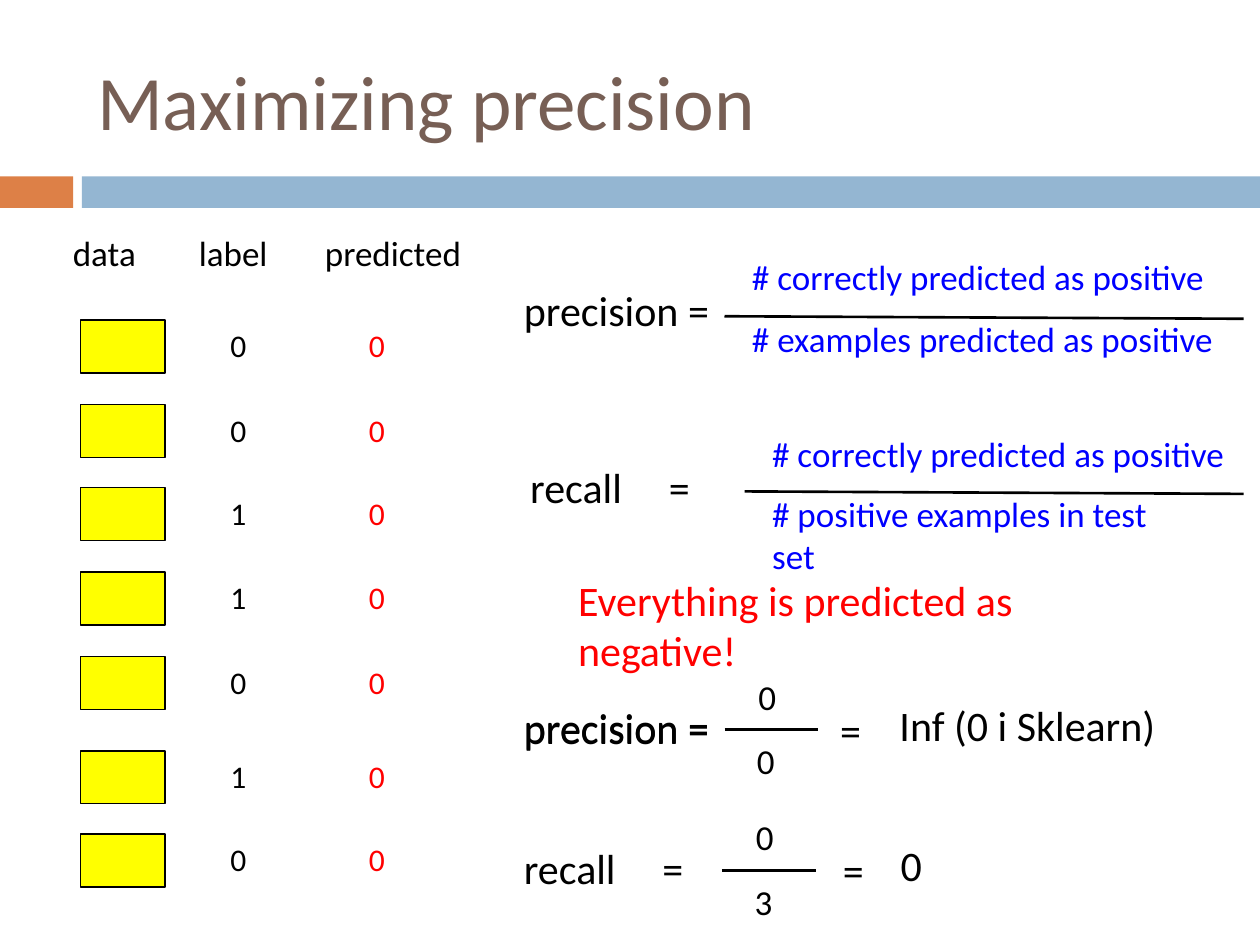
"""Build the slide on maximizing precision with python-pptx."""
from lxml.etree import SubElement
from pptx import Presentation
from pptx.dml.color import RGBColor
from pptx.enum.shapes import MSO_CONNECTOR, MSO_SHAPE
from pptx.enum.text import MSO_ANCHOR, MSO_AUTO_SIZE, PP_ALIGN
from pptx.oxml.ns import qn
from pptx.util import Pt

PX = 9144
THEME = {
    "font": "Calibri",
    "title": RGBColor(0x77, 0x5F, 0x55),
    "orange": RGBColor(0xDD, 0x80, 0x47),
    "blue_band": RGBColor(0x94, 0xB6, 0xD2),
    "yellow": RGBColor(0xFF, 0xFF, 0x00),
    "black": RGBColor(0x00, 0x00, 0x00),
    "red": RGBColor(0xFF, 0x00, 0x00),
    "blue": RGBColor(0x00, 0x00, 0xFF),
    "title_size": Pt(44),
    "formula_size": Pt(24),
    "term_size": Pt(20),
    "value_size": Pt(18),
}


def write_text(shape, text, size, color, frame_format):
    """Fill a shape with one left-aligned paragraph."""
    for name, value in frame_format.items():
        setattr(shape.text_frame, name, value)
    paragraph = shape.text_frame.paragraphs[0]
    paragraph.alignment = PP_ALIGN.LEFT
    run = paragraph.add_run()
    run.text = text
    font_format = {"name": THEME["font"], "size": THEME[size]}
    for name, value in font_format.items():
        setattr(run.font, name, value)
    run.font.color.rgb = THEME[color]
    return paragraph


def add_rectangle(slide, bounds, fill):
    """Add a flat filled rectangle without an outline."""
    shape = slide.shapes.add_shape(MSO_SHAPE.RECTANGLE, *[length * PX for length in bounds])
    shape.shadow.inherit = False
    shape.fill.solid()
    shape.fill.fore_color.rgb = THEME[fill]
    shape.line.fill.background()
    return shape


presentation = Presentation()
for name, value in {"slide_width": 1000 * PX, "slide_height": 750 * PX}.items():
    setattr(presentation, name, value)
slide = presentation.slides.add_slide(presentation.slide_layouts[5])

add_rectangle(slide, (0, 140, 58, 25), "orange")
add_rectangle(slide, (65, 140, 935, 25), "blue_band")

title = slide.shapes.title
title_place = {"left": 67 * PX, "top": 25 * PX, "width": 892 * PX, "height": 108 * PX}
for name, value in title_place.items():
    setattr(title, name, value)
write_text(title, "Maximizing precision", "title_size", "title",
           {"vertical_anchor": MSO_ANCHOR.MIDDLE, "word_wrap": True})

texts = [
    ("data", (48, 179, 74, 44), "term_size", "black"),
    ("label", (148, 179, 77, 44), "term_size", "black"),
    ("predicted", (248, 179, 129, 44), "term_size", "black"),
    ("# correctly predicted as positive", (587, 198, 384, 44), "term_size", "blue"),
    ("# examples predicted as positive", (587, 247, 394, 44), "term_size", "blue"),
    ("# correctly predicted as positive", (603, 338, 384, 44), "term_size", "blue"),
    ("# positive examples in test set", (603, 386, 345, 77), "term_size", "blue"),
    ("precision =", (406, 221, 169, 50), "formula_size", "black"),
    ("recall\t=", (411, 361, 173, 50), "formula_size", "black"),
    ("Everything is predicted as negative!", (449, 451, 480, 90), "formula_size", "red"),
    ("precision =", (406, 552, 169, 50), "formula_size", "black"),
    ("precision =", (406, 553, 169, 50), "formula_size", "black"),
    ("0", (592, 531, 36, 44), "term_size", "black"),
    ("0", (591, 582, 36, 44), "term_size", "black"),
    ("=", (657, 554, 52, 50), "formula_size", "black"),
    ("Inf (0 i Sklearn)", (704, 550, 228, 50), "formula_size", "black"),
    ("recall\t=", (406, 664, 173, 50), "formula_size", "black"),
    ("0", (590, 642, 36, 44), "term_size", "black"),
    ("3", (589, 694, 36, 44), "term_size", "black"),
    ("=", (659, 665, 52, 50), "formula_size", "black"),
    ("0", (705, 661, 39, 50), "formula_size", "black"),
]

labels = "0011010"
for row, label in enumerate(labels):
    top = 254 + round(row * 66.7) + (8 if row > 4 else 0)
    example = add_rectangle(slide, (64, top, 67, 42), "yellow")
    example.line.color.rgb = THEME["black"]
    example.line.width = Pt(0.75)
    texts.append((label, (173, top, 34, 40), "value_size", "black"))
    texts.append(("0", (283, top, 34, 40), "value_size", "red"))

wrapped = ("# positive examples in test set", "Everything is predicted as negative!")
for text, bounds, size, color in texts:
    box = slide.shapes.add_textbox(*[length * PX for length in bounds])
    has_tab = "\t" in text
    frame_format = {
        "word_wrap": has_tab or text in wrapped,
        "auto_size": MSO_AUTO_SIZE.SHAPE_TO_FIT_TEXT,
    }
    paragraph = write_text(box, text, size, color, frame_format)
    if has_tab:
        tab_list = SubElement(paragraph._p.get_or_add_pPr(), qn("a:tabLst"))
        SubElement(tab_list, qn("a:tab"), pos=str(110 * PX), algn="l")

fraction_bars = [
    (575, 251, 987, 253),
    (591, 390, 987, 392),
    (575, 579, 649, 579),
    (573, 691, 648, 691),
]
for ends in fraction_bars:
    bar = slide.shapes.add_connector(MSO_CONNECTOR.STRAIGHT, *[length * PX for length in ends])
    bar.line.color.rgb = THEME["black"]
    bar.line.width = Pt(1.5)
    SubElement(bar._element.spPr, qn("a:effectLst"))

presentation.save("out.pptx")
